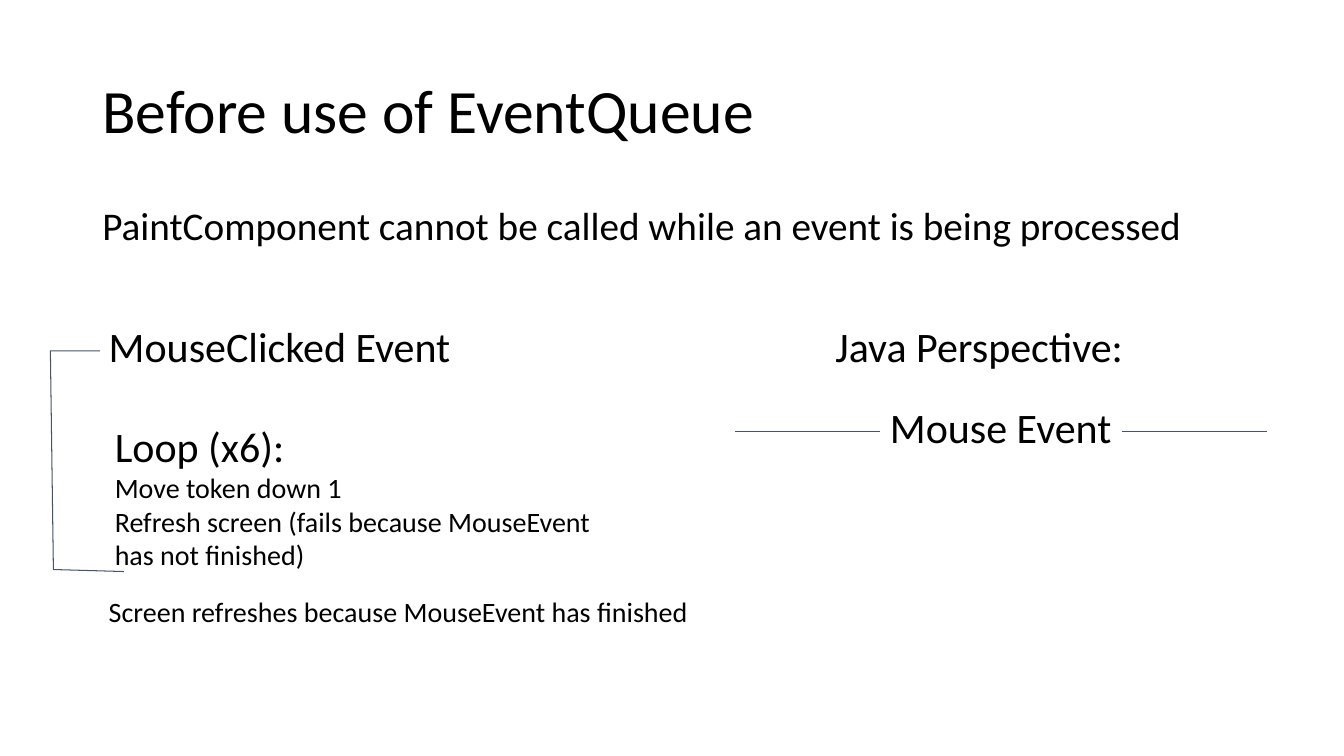
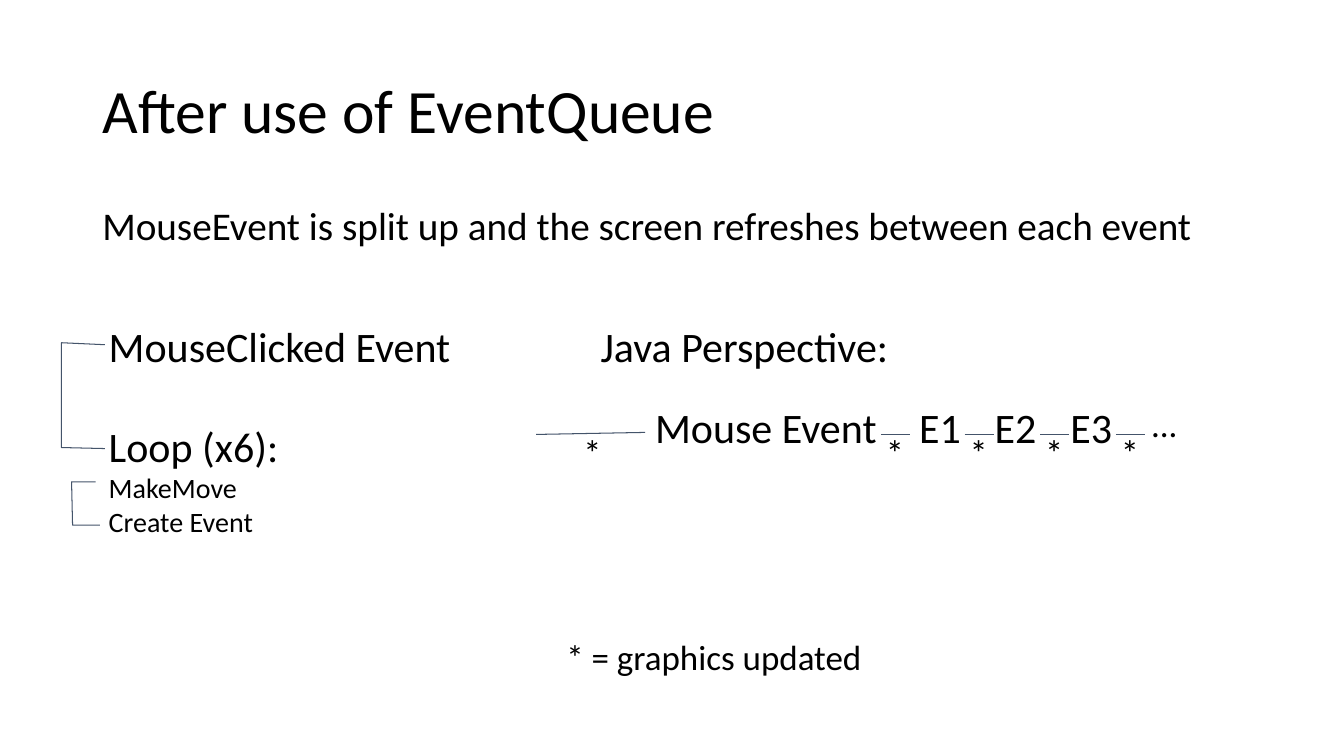
from collections import namedtuple

from lxml import etree
from pptx import Presentation
from pptx.dml.color import RGBColor
from pptx.enum.shapes import MSO_CONNECTOR
from pptx.enum.text import MSO_ANCHOR, MSO_AUTO_SIZE, PP_ALIGN
from pptx.oxml.ns import qn
from pptx.util import Inches, Pt

STRAIGHT = MSO_CONNECTOR.STRAIGHT
LEFT, TOP, MIDDLE = PP_ALIGN.LEFT, MSO_ANCHOR.TOP, MSO_ANCHOR.MIDDLE
NO_FIT = MSO_AUTO_SIZE.NONE

SLIDE_WIDTH, SLIDE_HEIGHT = Inches(13.33), Inches(7.5)
COLUMNS, ROWS = 40, 30
TITLE_ONLY = 5

FONT, INK, LINE = "Calibri", "000000", "44546A"
TITLE_SIZE, LEAD_SIZE, HEAD_SIZE, STEP_SIZE, MARK_SIZE, KEY_SIZE = 44, 28, 30, 20, 26, 25
PLACEHOLDER_INSET, BOX_INSET = 0.05, 0.1
HEADING_FORM = {"line_spacing": 0.9, "space_before": Pt(0)}
LEAD_FORM = {"line_spacing": 0.9, "space_before": Pt(10)}

Box = namedtuple("Box", "left top width height")
TITLE_BOX = Box(2.75, 1.6, 34.5, 5.8)
LEAD_BOX = Box(2.75, 8, 34.5, 4)
EVENT_BOX = Box(2.94, 12.32, 14.4, 14)
BLOCKED_BOX = Box(24.57, 12.32, 14.4, 14)
QUEUED_BOX = Box(17.58, 12.32, 21.6, 15.7)


def across(columns):
    return round(SLIDE_WIDTH * columns / COLUMNS)


def down(rows):
    return round(SLIDE_HEIGHT * rows / ROWS)


def color(value):
    return RGBColor.from_string(value)


def apply(target, values):
    for name, value in values.items():
        setattr(target, name, value)


def inside(box, left, top, width, height):
    return Box(box.left + left, box.top + top, width, height)


def place(shape, box):
    apply(shape, {"left": across(box.left), "top": down(box.top),
                  "width": across(box.width), "height": down(box.height)})


def write(shape, lines, inset=BOX_INSET, anchor=TOP, form=None):
    frame = shape.text_frame
    apply(frame, {"word_wrap": True, "auto_size": NO_FIT, "vertical_anchor": anchor,
                  "margin_left": Inches(0.1), "margin_right": Inches(0.1),
                  "margin_top": Inches(inset), "margin_bottom": Inches(inset)})
    for index, (text, size) in enumerate(lines):
        para = frame.add_paragraph() if index else frame.paragraphs[0]
        apply(para, {"alignment": LEFT, **(form or {})})
        span = para.add_run()
        span.text = text
        apply(span.font, {"name": FONT, "size": Pt(size)})
        span.font.color.rgb = color(INK)


def add_text(page, box, lines, **options):
    shape = page.shapes.add_textbox(0, 0, 0, 0)
    place(shape, box)
    write(shape, lines, **options)


def style_line(shape):
    shape.line.color.rgb = color(LINE)
    shape.line.width = Pt(0.75)


def add_line(page, box, start, end):
    (x1, y1), (x2, y2) = start, end
    line = page.shapes.add_connector(
        STRAIGHT, across(box.left + x1), down(box.top + y1),
        across(box.left + x2), down(box.top + y2))
    style_line(line)
    etree.SubElement(line._element.spPr, qn("a:effectLst"))


def add_bracket(page, box, points):
    spots = [(across(box.left + x), down(box.top + y)) for x, y in points]
    builder = page.shapes.build_freeform(*spots[0])
    builder.add_line_segments(spots[1:], close=False)
    bracket = builder.convert_to_shape()
    bracket.fill.background()
    bracket.shadow.inherit = False
    style_line(bracket)


def add_page(deck, title, lead):
    page = deck.slides.add_slide(deck.slide_layouts[TITLE_ONLY])
    place(page.shapes.title, TITLE_BOX)
    write(page.shapes.title, [(title, TITLE_SIZE)], PLACEHOLDER_INSET, MIDDLE, HEADING_FORM)
    add_text(page, LEAD_BOX, [(lead, LEAD_SIZE)], inset=PLACEHOLDER_INSET, form=LEAD_FORM)
    return page


def event_panel(page, box, steps, brackets, indent=0):
    add_text(page, inside(box, 0, 0, box.width, 3.96), [("MouseClicked Event", HEAD_SIZE)])
    loop = [("Loop (x6):", HEAD_SIZE)] + [(step, STEP_SIZE) for step in steps]
    add_text(page, inside(box, indent, 3.96, 15.27, 3.96), loop)
    for points in brackets:
        add_bracket(page, box, points)


def java_panel(page, box):
    add_text(page, inside(box, 0, 0, 12, 3.96), [("Java Perspective:", HEAD_SIZE)])
    add_text(page, inside(box, 1.62, 3.2, 9, 3.96), [("Mouse Event", HEAD_SIZE)])


def blocked_timeline(page, box):
    java_panel(page, box)
    for start in (-2.7, 8.82):
        add_line(page, box, (start, 4.8), (start + 4.32, 4.8))


def queued_timeline(page, box):
    java_panel(page, box)
    step, gap_width = 2.25, 0.86
    gaps = [8.64] + [11.13 + step * index for index in range(3)]
    add_line(page, box, (-1.62, 4.92), (1.62, 4.84))
    for gap in gaps:
        add_line(page, box, (gap, 4.92), (gap + gap_width, 4.92))
    for index, name in enumerate(("E1", "E2", "E3")):
        add_text(page, inside(box, 9.48 + step * index, 3.2, 2.1, 3.96), [(name, HEAD_SIZE)])
    add_text(page, inside(box, 16.38, 3.24, 3.72, 3.4), [("...", KEY_SIZE)])
    for left in [-0.51] + [gap - 0.15 for gap in gaps]:
        add_text(page, inside(box, left, 4.36, 1.65, 2.12), [("*", MARK_SIZE)])
    add_text(page, inside(box, -1.02, 12.48, 21.78, 3.4), [("* = graphics updated", KEY_SIZE)])


def before_slide(deck):
    page = add_page(deck, "Before use of EventQueue",
                    "PaintComponent cannot be called while an event is being processed")
    steps = ["Move token down 1", "Refresh screen (fails because MouseEvent has not finished)"]
    bracket = [(0.03, 1.6), (-1.44, 1.6), (-1.35, 10.28), (0.75, 10.36)]
    event_panel(page, EVENT_BOX, steps, [bracket], indent=0.18)
    add_text(page, inside(EVENT_BOX, 0, 10.88, 29.34, 4),
             [("Screen refreshes because MouseEvent has finished", STEP_SIZE)])
    blocked_timeline(page, BLOCKED_BOX)


def after_slide(deck):
    page = add_page(deck, "After use of EventQueue",
                    "MouseEvent is split up and the screen refreshes between each event")
    brackets = [
        [(0.18, 1.36), (-1.11, 1.28), (-1.11, 5.44), (0.18, 5.48)],
        [(-0.09, 6.8), (-0.81, 6.8), (-0.78, 8.52), (0.03, 8.52)],
    ]
    event_panel(page, EVENT_BOX, ["MakeMove", "Create Event"], brackets)
    queued_timeline(page, QUEUED_BOX)


def main():
    deck = Presentation()
    apply(deck, {"slide_width": SLIDE_WIDTH, "slide_height": SLIDE_HEIGHT})
    before_slide(deck)
    after_slide(deck)
    deck.save("out.pptx")


if __name__ == "__main__":
    main()
